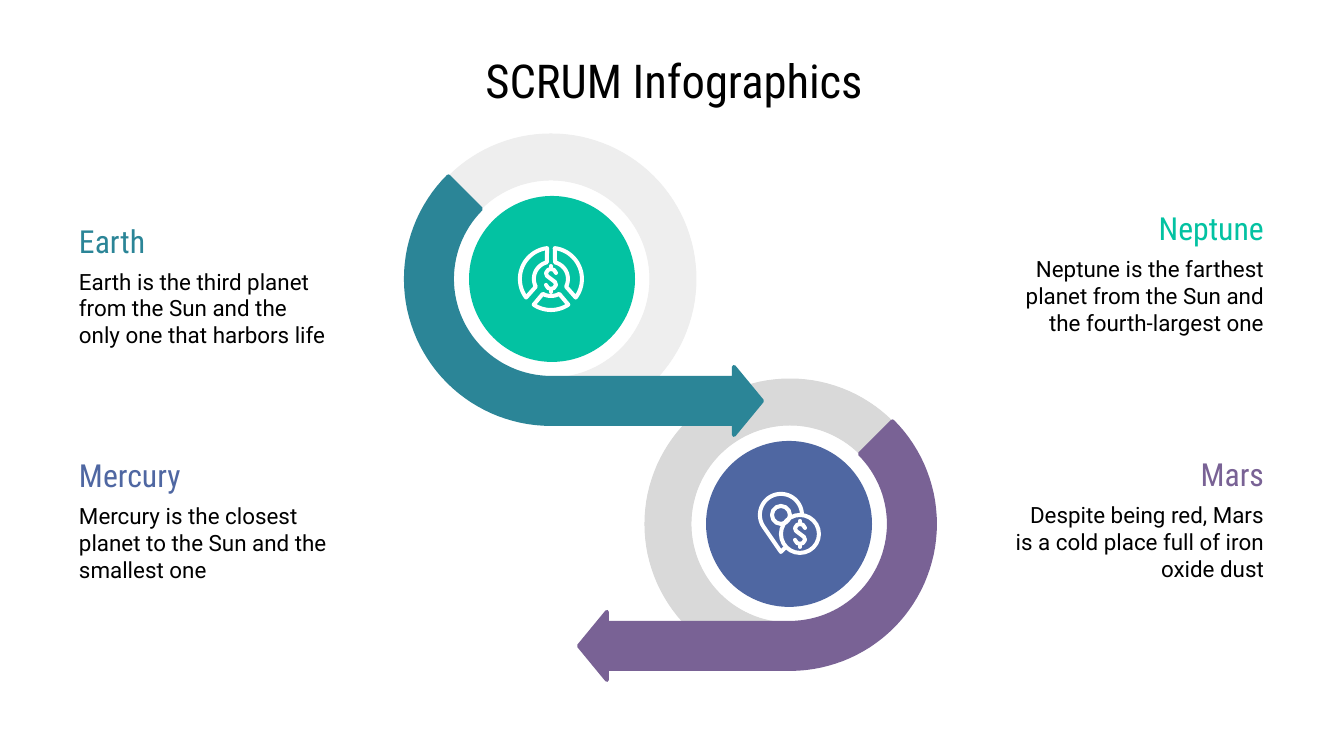
from dataclasses import dataclass
from math import cos, radians, sin

from lxml.etree import SubElement
from pptx import Presentation
from pptx.dml.color import RGBColor
from pptx.enum.shapes import MSO_SHAPE as Shape
from pptx.enum.text import MSO_ANCHOR as Anchor, PP_ALIGN as Align
from pptx.oxml.ns import qn
from pptx.util import Pt

SCALE = 914400 / 134.4
WHITE, BLACK = "FFFFFF", "000000"
TEAL, GREEN, BLUE, PURPLE = "2B8597", "03C2A2", "4F67A2", "796295"
HEADING_FONT, BODY_FONT = "Roboto Condensed", "Roboto"
OUTER, INNER, DISC = 145, 99, 83
STROKE = 4
Point = tuple[float, float]


@dataclass
class Loop:
    x: int
    y: int
    direction: int
    band_color: str
    arrow_color: str


@dataclass
class Label:
    heading: str
    body: str
    color: str
    left: int
    top: int
    body_top: int
    align: Align
    body_width: int = 277
    body_height: int = 113
    body_anchor: Anchor = Anchor.TOP


@dataclass
class Sector:
    outer_start: int
    outer_end: int
    inner_start: int
    inner_end: int


LOOPS = [
    Loop(790, 524, -1, "D9D9D9", PURPLE),
    Loop(551, 279, 1, "EEEEEE", TEAL),
]
DISCS = [(789, 524, BLUE), (552, 279, GREEN)]
LABELS = [
    Label("Neptune", "Neptune is the farthest planet from the Sun and the fourth-largest one",
          GREEN, 1000, 202, 242, Align.RIGHT),
    Label("Earth", "Earth is the third planet from the Sun and the only one that harbors life",
          TEAL, 66, 215, 269, Align.LEFT, 274, 78, Anchor.MIDDLE),
    Label("Mercury", "Mercury is the closest planet to the Sun and the smallest one",
          BLUE, 66, 449, 489, Align.LEFT),
    Label("Mars", "Despite being red, Mars is a cold place full of iron oxide dust",
          PURPLE, 1000, 448, 488, Align.RIGHT),
]
SECTORS = [Sector(143, 263, 153, 256), Sector(56, 124, 61, 119), Sector(-83, 37, -76, 27)]
DOLLAR = [
    [(5, -6), (3, -9), (0, -10), (-3, -9), (-5, -6), (-4, -3), (0, 0),
     (4, 3), (5, 6), (3, 9), (0, 10), (-3, 9), (-5, 6)],
    [(0, -13), (0, -10)],
    [(0, 10), (0, 13)],
]


def px(value: float) -> int:
    return round(value * SCALE)


def color(value: str) -> RGBColor:
    return RGBColor.from_string(value)


def arc(radius: int, start: int, end: int) -> list[Point]:
    steps = max(2, abs(end - start) // 3)
    angles = [radians(start + (end - start) * step / steps) for step in range(steps + 1)]
    return [(radius * cos(angle), radius * sin(angle)) for angle in angles]


def paint(shape, fill: str | None, line: str | None, width: int) -> None:
    shape.shadow.inherit = False
    if fill:
        shape.fill.solid()
        shape.fill.fore_color.rgb = color(fill)
    else:
        shape.fill.background()
    if line:
        shape.line.color.rgb = color(line)
        shape.line.width = px(width)
        outline = shape.line._get_or_add_ln()
        outline.set("cap", "rnd")
        SubElement(outline, qn("a:round"))
    else:
        shape.line.fill.background()


def add_outline(slide, x: int, y: int, contours: list[list[Point]], fill: str | None = None,
                line: str = WHITE, width: int = STROKE, close: bool = True, flip: int = 1) -> None:
    paths = [[(px(x + flip * dx), px(y + dy)) for dx, dy in contour] for contour in contours]
    builder = slide.shapes.build_freeform(*paths[0][0], scale=1.0)
    builder.add_line_segments(paths[0][1:], close=close)
    for path in paths[1:]:
        builder.move_to(*path[0])
        builder.add_line_segments(path[1:], close=close)
    paint(builder.convert_to_shape(), fill, line, width)


def add_circle(slide, x: int, y: int, radius: int, fill: str | None = None,
               line: str | None = None) -> None:
    shape = slide.shapes.add_shape(Shape.OVAL, px(x - radius), px(y - radius),
                                   px(2 * radius), px(2 * radius))
    paint(shape, fill, line, STROKE)


def add_text(slide, text: str, left: int, top: int, width: int, height: int, *, size: int,
             font: str, fill: str = BLACK, align: Align = Align.LEFT,
             anchor: Anchor = Anchor.MIDDLE) -> None:
    frame = slide.shapes.add_textbox(px(left), px(top), px(width), px(height)).text_frame
    frame.word_wrap = True
    frame.vertical_anchor = anchor
    frame.margin_left = frame.margin_right = frame.margin_top = frame.margin_bottom = px(13)
    paragraph = frame.paragraphs[0]
    paragraph.text = text
    paragraph.alignment = align
    paragraph.font.size = Pt(size)
    paragraph.font.name = font
    paragraph.font.color.rgb = color(fill)


def add_loop(slide, loop: Loop) -> None:
    band = arc(OUTER, -135, 90) + arc(INNER, 90, -135)
    add_outline(slide, loop.x, loop.y, [band], loop.band_color, loop.band_color, 1,
                flip=loop.direction)
    middle, base, tip, half = (OUTER + INNER) // 2, 183, 211, 34
    head = [(base, INNER), (base, middle - half), (tip, middle),
            (base, middle + half), (base, OUTER)]
    arrow = arc(INNER, 225, 90) + head + arc(OUTER, 90, 225)
    add_outline(slide, loop.x, loop.y, [arrow], loop.arrow_color, loop.arrow_color,
                flip=loop.direction)


def add_dollar(slide, x: int, y: int) -> None:
    add_outline(slide, x, y, DOLLAR, close=False)


def add_chart_icon(slide, x: int, y: int) -> None:
    for sector in SECTORS:
        contour = (arc(31, sector.outer_start, sector.outer_end)
                   + arc(17, sector.inner_end, sector.inner_start))
        add_outline(slide, x, y, [contour])
    add_dollar(slide, x, y)


def add_pin_icon(slide, x: int, y: int) -> None:
    pin = arc(21, 0, -215) + [(0, 37), (4, 33)]
    add_outline(slide, x, y, [pin], close=False)
    add_circle(slide, x, y, 9, line=WHITE)
    add_circle(slide, x + 19, y + 19, 19, line=WHITE)
    add_dollar(slide, x + 19, y + 19)


def add_label(slide, label: Label) -> None:
    add_text(slide, label.heading, label.left, label.top, 277, 52, size=17,
             font=HEADING_FONT, fill=label.color, align=label.align)
    add_text(slide, label.body, label.left, label.body_top, label.body_width, label.body_height,
             size=12, font=BODY_FONT, align=label.align, anchor=label.body_anchor)


def main() -> None:
    presentation = Presentation()
    presentation.slide_width, presentation.slide_height = px(1344), px(756)
    slide = presentation.slides.add_slide(presentation.slide_layouts[6])
    add_text(slide, "SCRUM Infographics", 71, 44, 1206, 71, size=25,
             font=HEADING_FONT, align=Align.CENTER)
    for loop in LOOPS:
        add_loop(slide, loop)
    for x, y, fill in DISCS:
        add_circle(slide, x, y, DISC, fill)
    add_chart_icon(slide, 551, 279)
    add_pin_icon(slide, 781, 515)
    for label in LABELS:
        add_label(slide, label)
    presentation.save("out.pptx")


if __name__ == "__main__":
    main()
